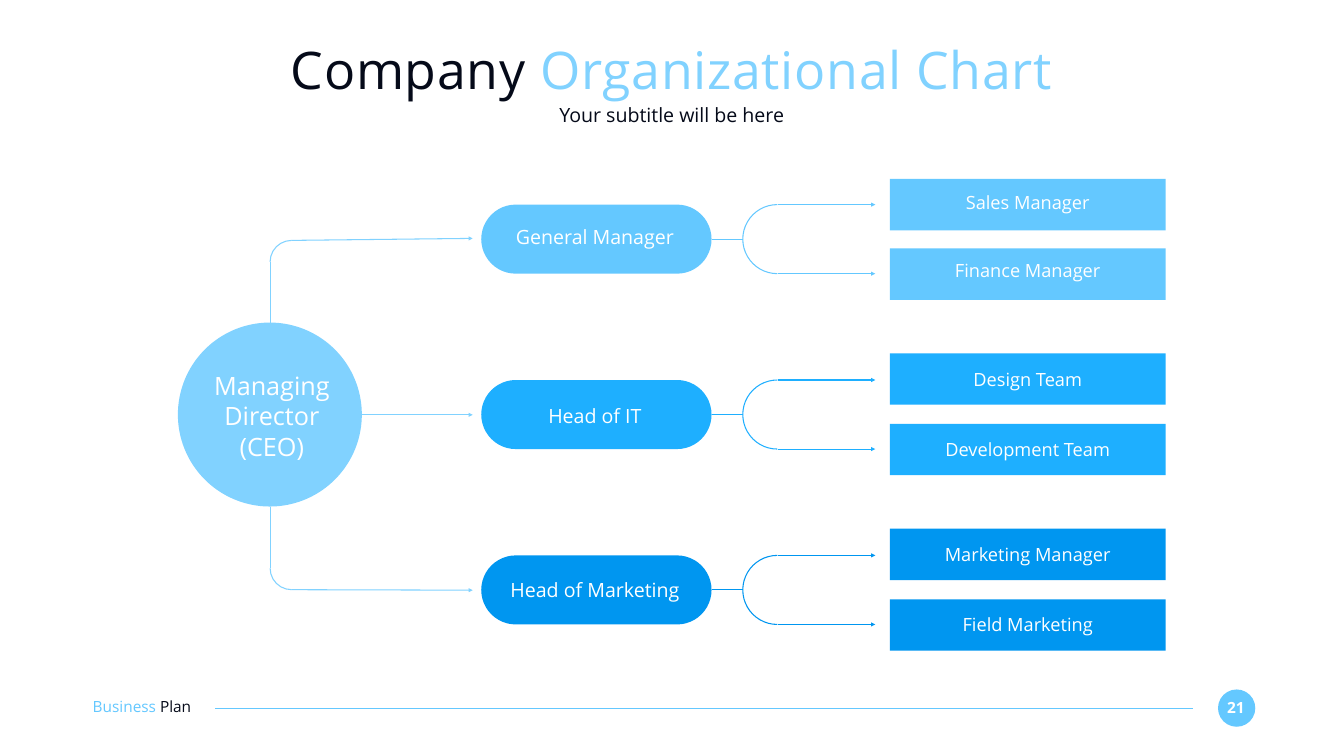
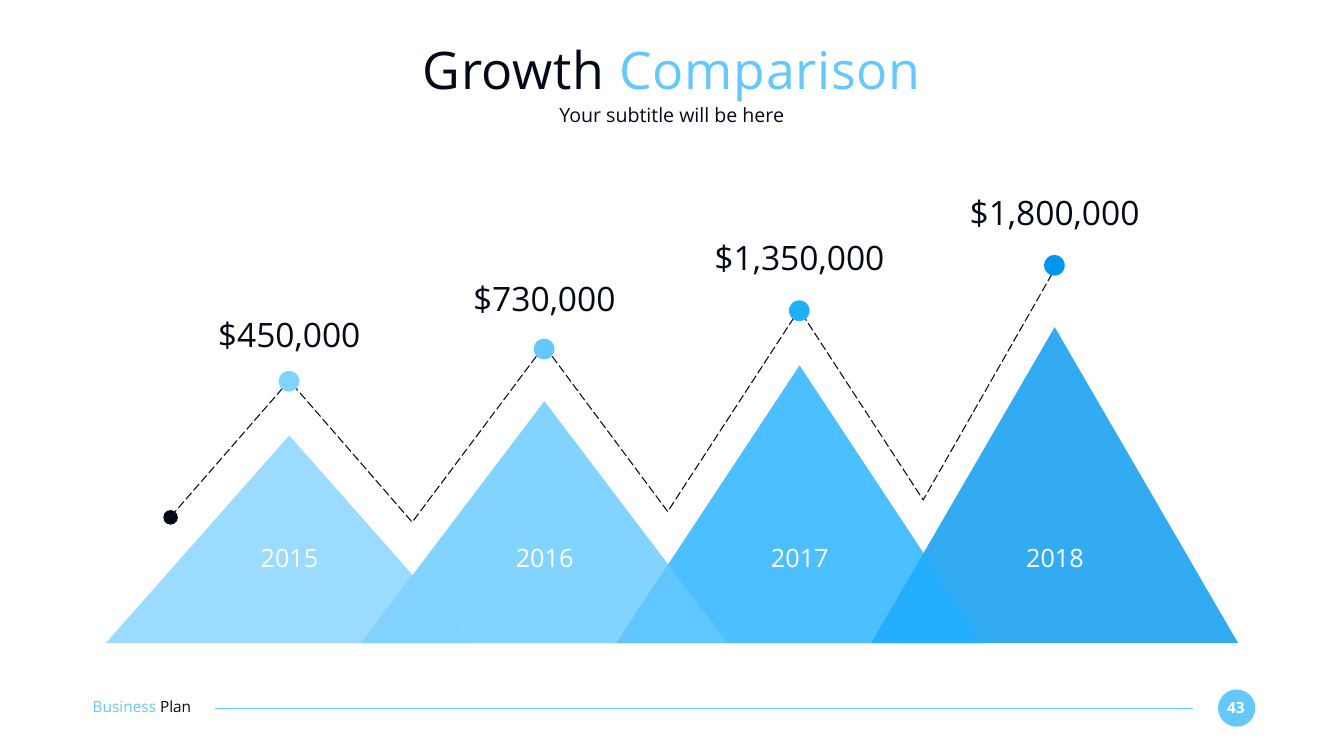
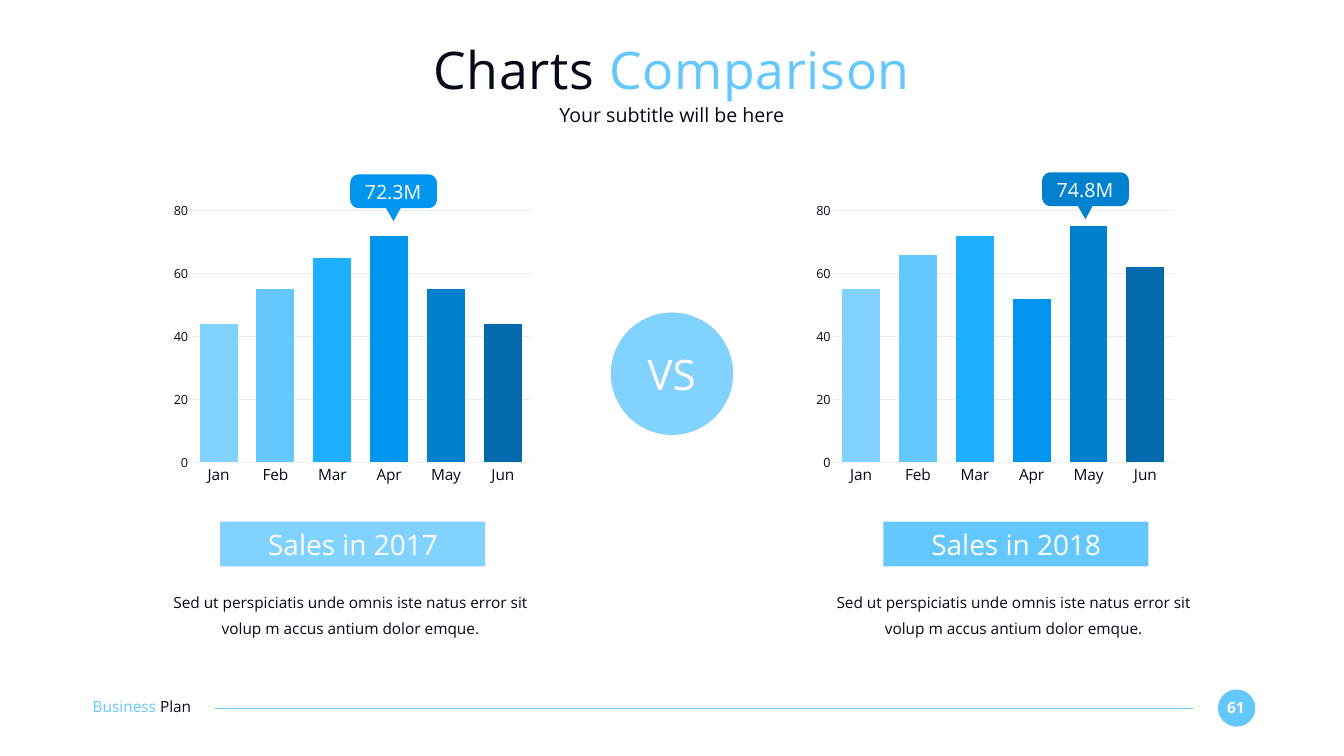
import math

from lxml import etree
from pptx import Presentation
from pptx import util as u
from pptx.chart.data import CategoryChartData
from pptx.dml.color import RGBColor
from pptx.enum import chart as ch, dml, shapes, text
from pptx.oxml.ns import qn

# Shared look
FONT = "Open Sans"
INK, WHITE = "050A19", "FFFFFF"
BLUES = ["81D2FF", "64C8FF", "1EAFFF", "0096F0", "0081D0", "006AAC"]
PALE, SKY, AZURE, STRONG, DEEP, NAVY = BLUES
SHAPE = shapes.MSO_SHAPE
STRAIGHT = shapes.MSO_CONNECTOR.STRAIGHT
hue = RGBColor.from_string


def style(item, fill=None, line=None, alpha=None, arrow=False):
    """Set fill, line and arrowhead of a shape or connector, without shadow."""
    if fill:
        item.fill.solid()
        item.fill.fore_color.rgb = hue(fill)
    elif hasattr(item, "fill"):
        item.fill.background()
    if alpha:
        tint = item.element.spPr.find(".//" + qn("a:srgbClr"))
        etree.SubElement(tint, qn("a:alpha"), val=str(alpha * 1000))
    if line:
        item.line.color.rgb = hue(line)
        item.line.width = u.Pt(1.5)
    else:
        item.line.fill.background()
    if arrow:
        etree.SubElement(item.line._get_or_add_ln(), qn("a:headEnd"), type="triangle")
    etree.SubElement(item.element.spPr, qn("a:effectLst"))
    return item


def write(frame, paragraphs, size, align=text.PP_ALIGN.CENTER, bold=False,
          anchor=text.MSO_ANCHOR.TOP, grow=True, spacing=None, **layout):
    """Fill a text frame; each paragraph is a list of (words, colour) runs."""
    fit = text.MSO_AUTO_SIZE
    frame_format = dict(margin_left=0, margin_top=0, margin_right=0, margin_bottom=0,
                        word_wrap=True, vertical_anchor=anchor,
                        auto_size=fit.SHAPE_TO_FIT_TEXT if grow else fit.NONE)
    for name, value in frame_format.items():
        setattr(frame, name, value)
    for index, runs in enumerate(paragraphs):
        paragraph = frame.add_paragraph() if index else frame.paragraphs[0]
        for name, value in dict(alignment=align, **layout).items():
            setattr(paragraph, name, value)
        for words, colour in runs:
            run = paragraph.add_run()
            run.text = words
            for name, value in dict(name=FONT, size=u.Pt(size), bold=bold).items():
                setattr(run.font, name, value)
            run.font.color.rgb = hue(colour)
            if spacing:
                run.font._element.set("spc", str(spacing * 100))


deck = Presentation()
deck.slide_width, deck.slide_height = u.Inches(26.67), u.Inches(15)

# Titles, subtitles and footers
pages = []
for number, lead, accent, accent_colour in [
        ("21", "Company ", "Organizational Chart", PALE),
        ("43", "Growth ", "Comparison", SKY),
        ("61", "Charts ", "Comparison", SKY)]:
    page = deck.slides.add_slide(deck.slide_layouts[5])
    pages.append(page.shapes)
    title = page.shapes.title
    title.left, title.top, title.width, title.height = map(u.Inches, (1.83, 0.73, 23, 1.27))
    write(title.text_frame, [[(lead, INK), (accent, accent_colour)]], 74,
          anchor=text.MSO_ANCHOR.MIDDLE, grow=False, spacing=1)
    subtitle = page.shapes.add_textbox(*map(u.Inches, (1.83, 2.03, 23, 0.49)))
    write(subtitle.text_frame, [[("Your subtitle will be here", INK)]], 28,
          anchor=text.MSO_ANCHOR.MIDDLE, grow=False)

    style(page.shapes.add_shape(SHAPE.OVAL, *map(u.Inches, (24.17, 13.68, 0.74, 0.74))), SKY)
    page_number = page.shapes.add_textbox(*map(u.Inches, (24.23, 13.85, 0.59, 0.37)))
    write(page_number.text_frame, [[(number, WHITE)]], 22, bold=True)
    style(page.shapes.add_connector(STRAIGHT, *map(u.Inches, (23.67, 14.05, 4.27, 14.05))),
          line=SKY)
    footer = page.shapes.add_textbox(*map(u.Inches, (1.84, 13.84, 2.59, 0.37)))
    write(footer.text_frame, [[("Business ", SKY), ("Plan", INK)]], 22,
          align=text.PP_ALIGN.LEFT)
org, growth, comparison = pages

# Organizational chart: director
style(org.add_shape(SHAPE.OVAL, *map(u.Inches, (3.53, 6.4, 3.65, 3.65))), PALE)
director = org.add_textbox(*map(u.Inches, (3.72, 7.35, 3.35, 1.82)))
write(director.text_frame, [[("Managing Director", WHITE)], [("(CEO)", WHITE)]], 36)

upper_bend = style(org.add_shape(SHAPE.ARC, *map(u.Inches, (5.36, 4.77, 0.85, 0.85))), line=PALE)
upper_bend.element.spPr.xfrm.set("flipH", "1")
lower_bend = style(org.add_shape(SHAPE.ARC, *map(u.Inches, (5.36, 10.85, 0.85, 0.85))), line=PALE)
lower_bend.rotation = 180
for stem in [(5.36, 6.4, 5.36, 5.19), (5.36, 10.06, 5.36, 11.27)]:
    style(org.add_connector(STRAIGHT, *map(u.Inches, stem)), line=PALE)
for branch in [(9.38, 4.73, 5.78, 4.77), (9.38, 8.23, 7.19, 8.23), (9.38, 11.71, 5.78, 11.7)]:
    style(org.add_connector(STRAIGHT, *map(u.Inches, branch)), line=PALE, arrow=True)

# Organizational chart: heads and their teams (name, box top, label top)
PILL_HEIGHT = 1.37
departments = [
    ("General Manager", 4.47, SKY,
     [("Sales Manager", 3.55, 3.79), ("Finance Manager", 4.93, 5.15)]),
    ("Head of IT", 8.02, AZURE,
     [("Design Team", 7.01, 7.3), ("Development Team", 8.41, 8.7)]),
    ("Head of Marketing", 11.47, STRONG,
     [("Marketing Manager", 10.49, 10.78), ("Field Marketing", 11.89, 12.17)]),
]
for row, (head, head_top, colour, teams) in enumerate(departments):
    top = 4.06 + 3.48 * row
    middle = top + PILL_HEIGHT / 2
    pill = style(org.add_shape(SHAPE.ROUNDED_RECTANGLE,
                               *map(u.Inches, (9.55, top, 4.57, PILL_HEIGHT))), colour)
    pill.adjustments[0] = 0.5
    head_label = org.add_textbox(*map(u.Inches, (9.88, head_top, 3.85, 0.47)))
    write(head_label.text_frame, [[(head, WHITE)]], 28)

    fork = style(org.add_shape(SHAPE.ARC, *map(u.Inches, (14.74, top, PILL_HEIGHT, PILL_HEIGHT))),
                 line=colour)
    fork.adjustments[0], fork.adjustments[1] = 162, 54
    fork.element.spPr.xfrm.set("flipH", "1")
    handle = org.add_connector(STRAIGHT, *map(u.Inches, (14.12, middle, 14.74, middle)))
    handle.begin_connect(pill, 3)
    style(handle, line=colour)

    for (team, box_top, label_top), tine in zip(teams, (top, top + PILL_HEIGHT)):
        style(org.add_connector(STRAIGHT, *map(u.Inches, (17.37, tine, 15.43, tine))),
              line=colour, arrow=True)
        style(org.add_shape(SHAPE.RECTANGLE, *map(u.Inches, (17.66, box_top, 5.47, 1.02))), colour)
        team_label = org.add_textbox(*map(u.Inches, (18.47, label_top, 3.85, 0.44)))
        write(team_label.text_frame, [[(team, WHITE)]], 26)

# Growth comparison: mountains, the last one at the back
BASE = 12.76
years = [  # left, year, amount, mountain height, amount top, dot top, colour
    (2.1 + 5.063 * column, *facts) for column, facts in enumerate([
        ("2015", "$450,000", 4.12, 6.23, 7.36, PALE),
        ("2016", "$730,000", 4.8, 5.51, 6.72, SKY),
        ("2017", "$1,350,000", 5.51, 4.7, 5.96, AZURE),
        ("2018", "$1,800,000", 6.27, 3.81, 5.06, STRONG)])
]
for left, _, _, height, _, _, colour in reversed(years):
    mountain = growth.add_shape(SHAPE.ISOSCELES_TRIANGLE,
                                *map(u.Inches, (left, BASE - height, 7.28, height)))
    style(mountain, colour, alpha=80)

# Growth comparison: dashed trail over the peaks
trail = [(3.39, 10.25), (5.74, 7.55), (8.18, 10.36), (10.8, 6.86),
         (13.25, 10.15), (15.86, 6.14), (18.32, 9.92), (20.93, 5.34)]
trail = [(u.Inches(x), u.Inches(y)) for x, y in trail]
builder = growth.build_freeform(*trail[0])
builder.add_line_segments(trail[1:], close=False)
trail_line = style(builder.convert_to_shape(), line=INK)
trail_line.line.dash_style = dml.MSO_LINE.LONG_DASH
style(growth.add_shape(SHAPE.OVAL, *map(u.Inches, (3.24, 10.12, 0.29, 0.29))), INK)

for left, year, amount, _, amount_top, dot_top, colour in years:
    year_label = growth.add_textbox(*map(u.Inches, (left + 2.44, 10.76, 2.41, 0.61)))
    write(year_label.text_frame, [[(year, WHITE)]], 36)
    amount_label = growth.add_textbox(*map(u.Inches, (left + 1.8, amount_top, 3.68, 0.81)))
    write(amount_label.text_frame, [[(amount, INK)]], 48)
    style(growth.add_shape(SHAPE.OVAL, *map(u.Inches, (left + 3.43, dot_top, 0.41, 0.41))), colour)

# Charts comparison: centre mark
style(comparison.add_shape(SHAPE.OVAL, *map(u.Inches, (12.12, 6.2, 2.43, 2.43))), PALE)
versus = comparison.add_textbox(*map(u.Inches, (12.61, 6.91, 1.44, 1.01)))
write(versus.text_frame, [[("VS", WHITE)]], 60)

# Charts comparison: one column of parts for each year
BLURB = ("Sed ut perspiciatis unde omnis iste natus error sit "
         "volup m accus antium dolor emque.")
RADIUS, FLAG_WIDTH, FLAG_HEIGHT = 0.17, 1.72, 0.67
for chart_left, sales, banner_left, banner_colour, caption, flag_left, flag_top, flag_colour, best in [
        (3.3, (44, 55, 65, 72, 55, 44), 4.37, PALE, "Sales in 2017", 6.95, 3.46, STRONG, "72.3M"),
        (16.05, (55, 66, 72, 52, 75, 62), 17.53, SKY, "Sales in 2018", 20.68, 3.42, DEEP, "74.8M")]:
    # Column chart
    data = CategoryChartData()
    data.categories = ["Jan", "Feb", "Mar", "Apr", "May", "Jun"]
    data.add_series("Series 1", sales)
    chart = comparison.add_chart(ch.XL_CHART_TYPE.COLUMN_CLUSTERED,
                                 *map(u.Inches, (chart_left, 3.89, 7.39, 5.84)), data).chart
    chart.has_legend = chart.has_title = False
    months, values = chart.category_axis, chart.value_axis
    for part, size in ((chart.font, 22), (months.tick_labels.font, 22),
                       (values.tick_labels.font, 18)):
        part.name, part.size = FONT, u.Pt(size)
        part.color.rgb = hue(INK)
    for axis in (months, values):
        axis.major_tick_mark = axis.minor_tick_mark = ch.XL_TICK_MARK.NONE
    for name, value in dict(minimum_scale=0, maximum_scale=80, major_unit=20,
                            has_major_gridlines=True).items():
        setattr(values, name, value)
    values.format.line.fill.background()
    for rule, colour, width in ((months.format.line, "F0F0F0", 0.75),
                                (values.major_gridlines.format.line, "EBEBEB", 1)):
        rule.color.rgb = hue(colour)
        rule.width = u.Pt(width)
    plot = chart.plots[0]
    plot.gap_width, plot.vary_by_categories = 50, False
    bars = plot.series[0]
    bars.format.fill.solid()
    bars.format.fill.fore_color.rgb = hue(PALE)
    for index, colour in enumerate(BLUES[1:], start=1):
        bar = bars.points[index].format.fill
        bar.solid()
        bar.fore_color.rgb = hue(colour)

    # Banner and blurb
    style(comparison.add_shape(SHAPE.RECTANGLE,
                               *map(u.Inches, (banner_left, 10.35, 5.26, 0.89))), banner_colour)
    banner = comparison.add_textbox(*map(u.Inches, (banner_left + 0.74, 10.46, 3.79, 0.67)))
    write(banner.text_frame, [[(caption, WHITE)]], 40)
    blurb = comparison.add_textbox(*map(u.Inches, (banner_left - 1.22, 11.63, 7.61, 1.04)))
    write(blurb.text_frame, [[(BLURB, INK)]], 22, line_spacing=1.4, space_after=u.Pt(36))

    # Flag with rounded corners, clockwise from the top right, and a tail below
    near, far = RADIUS, FLAG_WIDTH - RADIUS
    outline = []
    for x, y, start in [(far, RADIUS, -90), (far, FLAG_HEIGHT - RADIUS, 0),
                        (near, FLAG_HEIGHT - RADIUS, 90), (near, RADIUS, 180)]:
        for step in range(7):
            angle = math.radians(start + 15 * step)
            outline.append((x + RADIUS * math.cos(angle), y + RADIUS * math.sin(angle)))
        if start == 0:
            outline += [(1.0, FLAG_HEIGHT), (0.86, 0.93), (0.71, FLAG_HEIGHT)]
    outline = [(u.Inches(flag_left + x), u.Inches(flag_top + y)) for x, y in outline]
    builder = comparison.build_freeform(*outline[0])
    builder.add_line_segments(outline[1:], close=True)
    style(builder.convert_to_shape(), flag_colour)
    flag_label = comparison.add_textbox(*map(u.Inches, (flag_left + 0.13, flag_top + 0.11, 1.44, 0.47)))
    write(flag_label.text_frame, [[(best, WHITE)]], 28)

deck.save("out.pptx")
